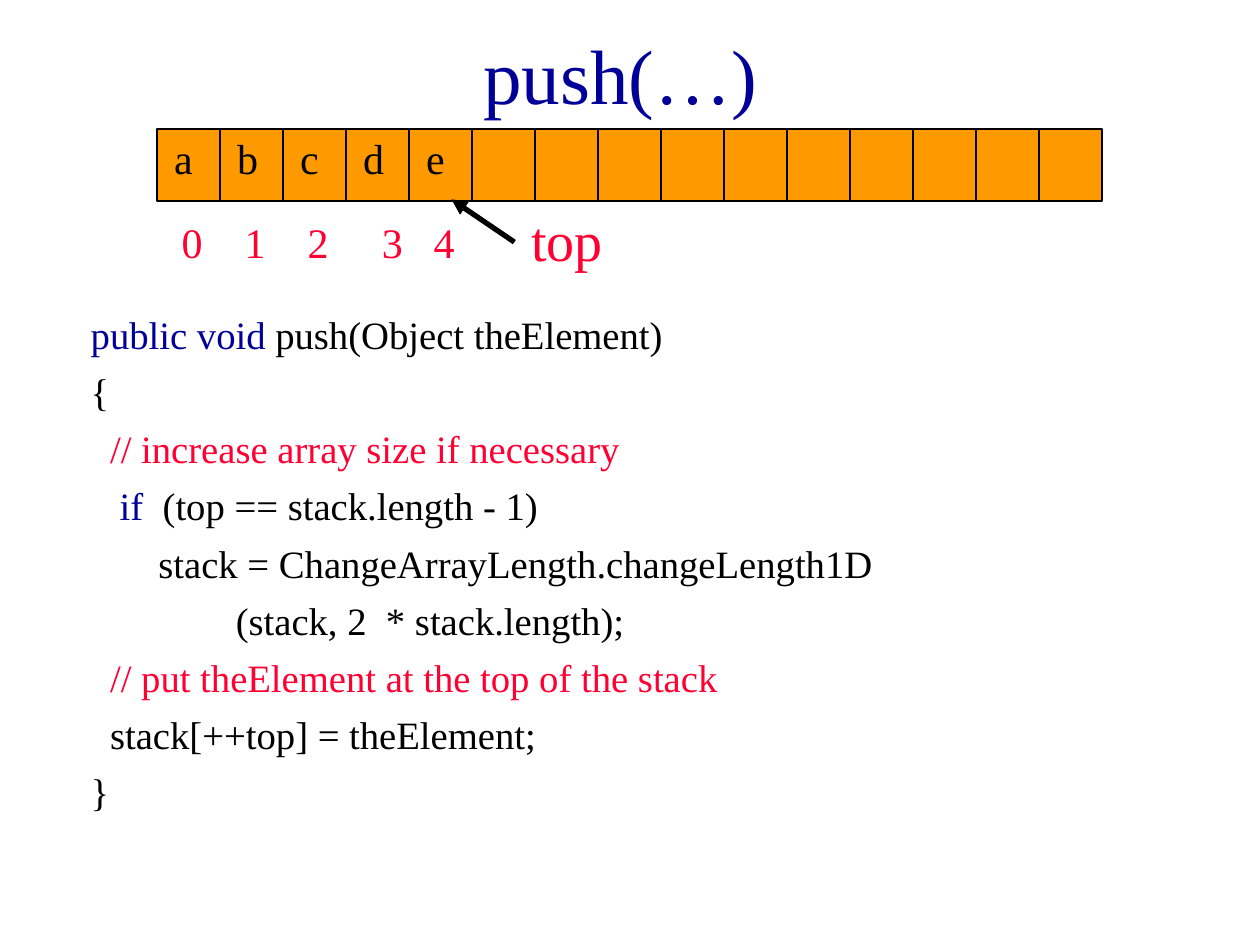
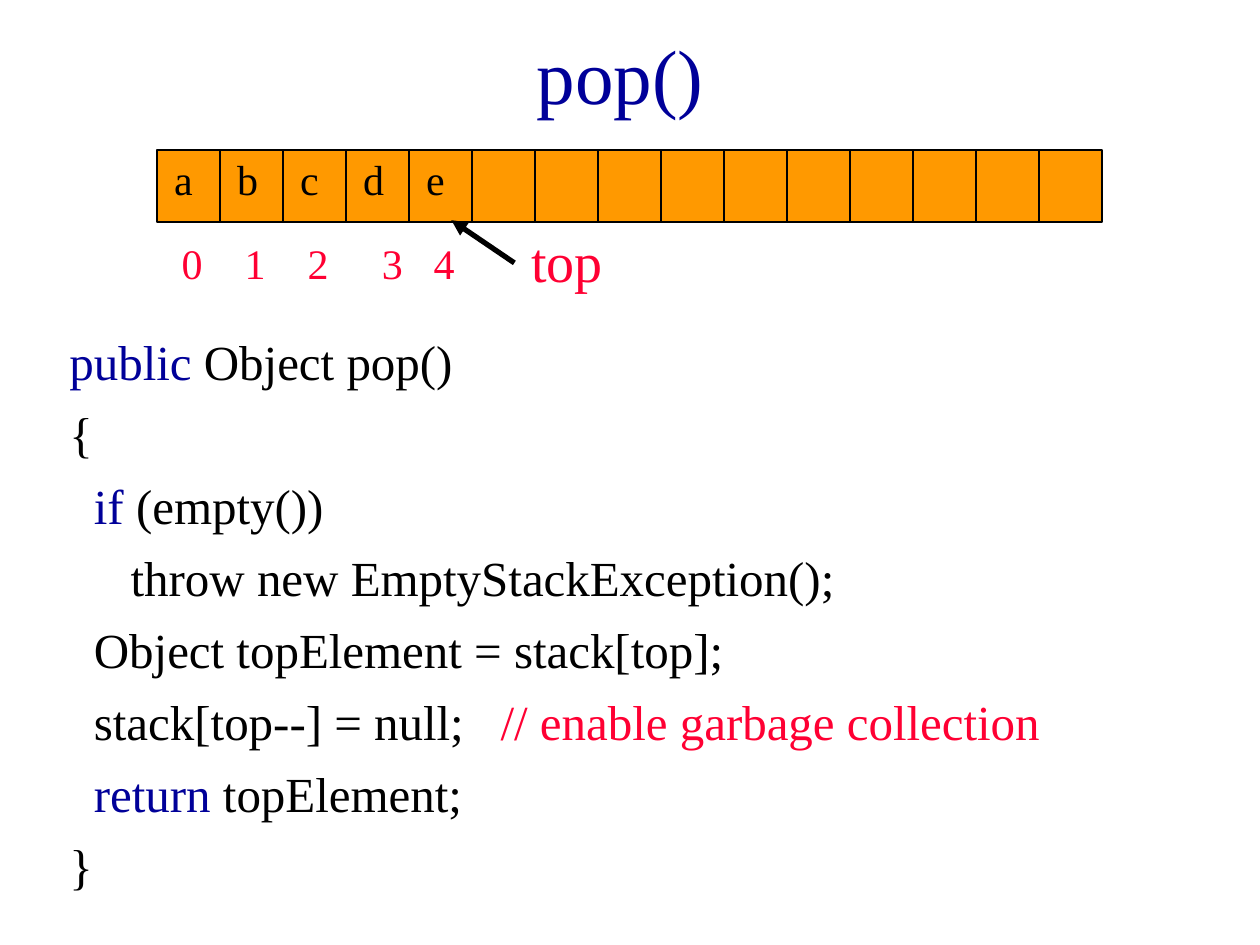
"""Build two slides on the push and pop operations of an array stack."""
from lxml.etree import SubElement
from pptx import Presentation
from pptx.dml.color import RGBColor
from pptx.enum.shapes import MSO_CONNECTOR, MSO_SHAPE
from pptx.enum.text import MSO_ANCHOR, MSO_AUTO_SIZE, PP_ALIGN
from pptx.oxml.ns import qn
from pptx.util import Cm, Pt

BLUE = RGBColor(0x00, 0x00, 0x99)
RED = RGBColor(0xFF, 0x00, 0x33)
BLACK = RGBColor(0x00, 0x00, 0x00)
ORANGE = RGBColor(0xFF, 0x99, 0x00)

ARRAY_LEFT, CELL, CELL_HEIGHT, CELL_COUNT = 3.16, 1.27, 1.46, 15
INDEX_COLUMNS = (0, 1, 2, 3.18, 4)

PUSH_CODE = [
    (0, [("public void", BLUE), (" push(Object theElement)", BLACK)]),
    (0, [("{", BLACK)]),
    (2, [("// increase array size if necessary", RED)]),
    (3, [("if", BLUE), ("  (top == stack.length - 1)", BLACK)]),
    (7, [("stack = ChangeArrayLength.changeLength1D", BLACK)]),
    (15, [("(stack, 2  * stack.length);", BLACK)]),
    (2, [("// put theElement at the top of the stack", RED)]),
    (2, [("stack[++top] = theElement;", BLACK)]),
    (0, [("}", BLACK)]),
]
POP_CODE = [
    (0, [("public", BLUE), (" Object pop()", BLACK)]),
    (0, [("{", BLACK)]),
    (2, [("if", BLUE), (" (empty())", BLACK)]),
    (5, [("throw new EmptyStackException();", BLACK)]),
    (2, [("Object topElement = stack[top];", BLACK)]),
    (2, [("stack[top--] = null;   ", BLACK),
         ("// enable garbage collection", RED)]),
    (2, [("return", BLUE), (" topElement;", BLACK)]),
    (0, [("}", BLACK)]),
]


class Deck:
    font = "Times New Roman"
    inset = Cm(0.13)

    def __init__(self):
        self.prs = Presentation()
        self.prs.slide_width, self.prs.slide_height = Cm(25.4), Cm(19.05)

    def style(self, r, size, color):
        r.font.name, r.font.size = self.font, Pt(size)
        r.font.color.rgb = color

    def frame(self, sp, wrap=True):
        tf = sp.text_frame
        tf.word_wrap, tf.auto_size = wrap, MSO_AUTO_SIZE.NONE
        tf.margin_left = tf.margin_right = self.inset
        tf.margin_top = tf.margin_bottom = self.inset
        return tf

    def add_slide(self, title):
        self.s = self.prs.slides.add_slide(self.prs.slide_layouts[5])
        sp = self.s.shapes.title
        sp.left, sp.top, sp.width, sp.height = Cm(1.7), Cm(0.42), Cm(21.6), Cm(2.12)
        tf = self.frame(sp)
        tf.text = title
        tf.vertical_anchor = MSO_ANCHOR.MIDDLE
        p = tf.paragraphs[0]
        p.alignment = PP_ALIGN.CENTER
        self.style(p.runs[0], 44, BLUE)

    def label(self, text, left, top, width, height, size, color, wrap=False):
        sp = self.s.shapes.add_textbox(Cm(left), Cm(top), Cm(width), Cm(height))
        tf = self.frame(sp, wrap)
        tf.text = text
        self.style(tf.paragraphs[0].runs[0], size, color)

    def line(self, x1, y1, x2, y2, width=1, arrow=False):
        sp = self.s.shapes.add_connector(
            MSO_CONNECTOR.STRAIGHT, Cm(x1), Cm(y1), Cm(x2), Cm(y2))
        sp.line.color.rgb, sp.line.width = BLACK, Pt(width)
        if arrow:
            SubElement(sp.line._get_or_add_ln(), qn("a:tailEnd"), type="triangle")
        SubElement(sp._element.spPr, qn("a:effectLst"))

    def array(self, top, elements):
        sp = self.s.shapes.add_shape(
            MSO_SHAPE.RECTANGLE, Cm(ARRAY_LEFT), Cm(top),
            Cm(CELL * CELL_COUNT), Cm(CELL_HEIGHT))
        sp.shadow.inherit = False
        sp.fill.solid()
        sp.fill.fore_color.rgb = ORANGE
        sp.line.color.rgb, sp.line.width = BLACK, Pt(1)
        for i in range(1, CELL_COUNT):
            x = ARRAY_LEFT + CELL * i
            self.line(x, top, x, top + CELL_HEIGHT)
        for i, column in enumerate(INDEX_COLUMNS):
            self.label(str(i), ARRAY_LEFT + 0.37 + CELL * column, top + 1.64,
                       0.7, 1.17, 24, RED)
        for i, element in enumerate(elements):
            self.label(element, ARRAY_LEFT + 0.22 + CELL * i, top - 0.05,
                       0.7, 1.17, 24, BLACK)
        self.line(10.37, top + 2.28, 9.1, top + 1.42, 3, arrow=True)
        self.label("top", 10.58, top + 1.42, 5.5, 1.52, 32, RED, wrap=True)

    def code(self, lines, left, top, height, size, gap):
        sp = self.s.shapes.add_textbox(Cm(left), Cm(top), Cm(22.43), Cm(height))
        tf = self.frame(sp)
        for i, (indent, parts) in enumerate(lines):
            p = tf.add_paragraph() if i else tf.paragraphs[0]
            p.space_before = Pt(gap if i else 0)
            p._p.get_or_add_pPr().set("marL", str(Pt(indent * size / 4)))
            for text, color in parts:
                r = p.add_run()
                r.text = text
                self.style(r, size, color)


def main():
    deck = Deck()
    deck.add_slide("push(…)")
    deck.array(2.6, "abcde")
    deck.code(PUSH_CODE, 1.7, 6.14, 12.06, 22.1, 6.1)
    deck.add_slide("pop()")
    deck.array(3.02, "abcde")
    deck.code(POP_CODE, 1.27, 6.56, 12.4, 28, 7.5)
    deck.prs.save("out.pptx")


if __name__ == "__main__":
    main()
